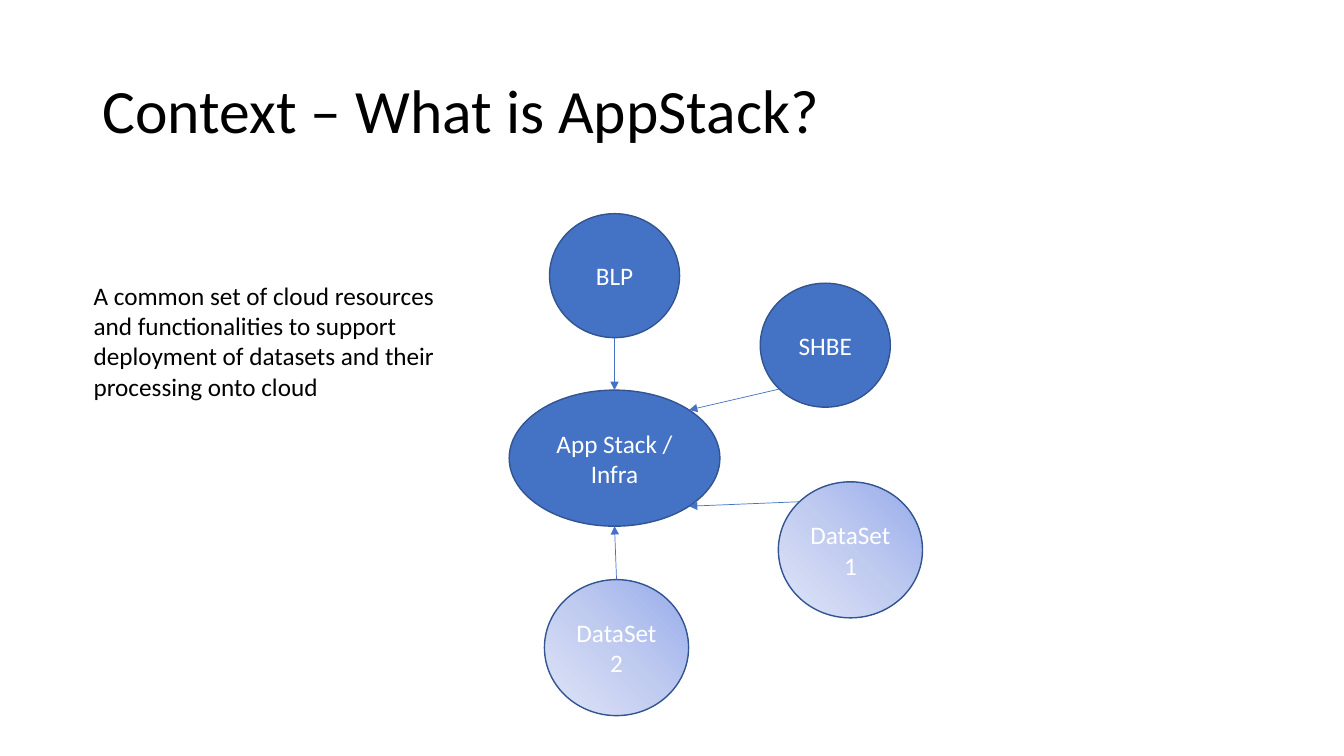
from math import cos, radians, sin

from lxml.etree import SubElement
from pptx import Presentation
from pptx.dml.color import RGBColor
from pptx.enum.shapes import MSO_CONNECTOR, MSO_SHAPE
from pptx.enum.text import MSO_ANCHOR, PP_ALIGN
from pptx.oxml import parse_xml
from pptx.oxml.ns import nsdecls, qn
from pptx.util import Inches, Pt

TITLE = "Context – What is AppStack?"
SUMMARY = [
    "A common set of cloud resources",
    "and functionalities to support",
    "deployment of datasets and their",
    "processing onto cloud",
]
BLUE, OUTLINE = "4472C4", "325491"
FADE = [(0, "96ABEA"), (50, "C0CBF0"), (100, "E0E5F7")]
NODES = {
    "App Stack / Infra": (5.05, 3.87, 2.09, 1.35),
    "SHBE": (7.54, 2.81, 1.29, 1.23),
    "BLP": (5.45, 2.12, 1.29, 1.23),
    "DataSet1": (7.72, 4.78, 1.43, 1.35),
    "DataSet2": (5.4, 5.75, 1.43, 1.35),
}
HUB = "App Stack / Infra"
ARROWS = [("BLP", 90, 270), ("SHBE", 135, 315), ("DataSet1", 225, 45), ("DataSet2", 270, 90)]


def rgb(color):
    return RGBColor.from_string(color)


def style(tf, size, color, align=PP_ALIGN.LEFT):
    for p in tf.paragraphs:
        p.alignment = align
        for r in p.runs:
            r.font.name = "Calibri"
            r.font.size = Pt(size)
            r.font.color.rgb = rgb(color)


def add_text(box, lines, size, wrap):
    tf = s.shapes.add_textbox(*map(Inches, box)).text_frame
    tf.word_wrap = wrap
    tf.text = "\n".join(lines)
    style(tf, size, "000000")
    return tf


def fade_fill(sp):
    stops = "".join(
        f'<a:gs pos="{pos * 1000}"><a:srgbClr val="{color}"/></a:gs>' for pos, color in FADE
    )
    sp.fill.gradient()
    old = sp._element.spPr.find(qn("a:gradFill"))
    new = parse_xml(
        f'<a:gradFill {nsdecls("a")} rotWithShape="1"><a:gsLst>{stops}</a:gsLst>'
        '<a:path path="circle"><a:fillToRect l="100000" b="100000"/></a:path></a:gradFill>'
    )
    old.getparent().replace(old, new)


def add_node(name):
    sp = s.shapes.add_shape(MSO_SHAPE.OVAL, *map(Inches, NODES[name]))
    sp.shadow.inherit = False
    if name.startswith("DataSet"):
        fade_fill(sp)
    else:
        sp.fill.solid()
        sp.fill.fore_color.rgb = rgb(BLUE)
    sp.line.color.rgb = rgb(OUTLINE)
    sp.line.width = Pt(1)
    sp.text_frame.text = name
    style(sp.text_frame, 18, "FFFFFF", PP_ALIGN.CENTER)


def rim(name, angle):
    x, y, w, h = NODES[name]
    a = radians(angle)
    return Inches(x + w / 2 * (1 + cos(a))), Inches(y + h / 2 * (1 + sin(a)))


def add_arrow(name, start, end):
    line = s.shapes.add_connector(MSO_CONNECTOR.STRAIGHT, *rim(name, start), *rim(HUB, end))
    line.line.color.rgb = rgb(BLUE)
    line.line.width = Pt(0.5)
    SubElement(line.line._get_or_add_ln(), qn("a:tailEnd"), type="triangle")
    SubElement(line._element.spPr, qn("a:effectLst"))


prs = Presentation()
prs.slide_width, prs.slide_height = Inches(13.33), Inches(7.5)
s = prs.slides.add_slide(prs.slide_layouts[6])

title = add_text((0.92, 0.4, 11.5, 1.45), [TITLE], 44, True)
title.vertical_anchor = MSO_ANCHOR.MIDDLE
title.paragraphs[0].line_spacing = 0.9

for name in NODES:
    add_node(name)
for arrow in ARROWS:
    add_arrow(*arrow)

add_text((0.83, 2.73, 3.68, 1.31), SUMMARY, 18, False)

prs.save("out.pptx")
